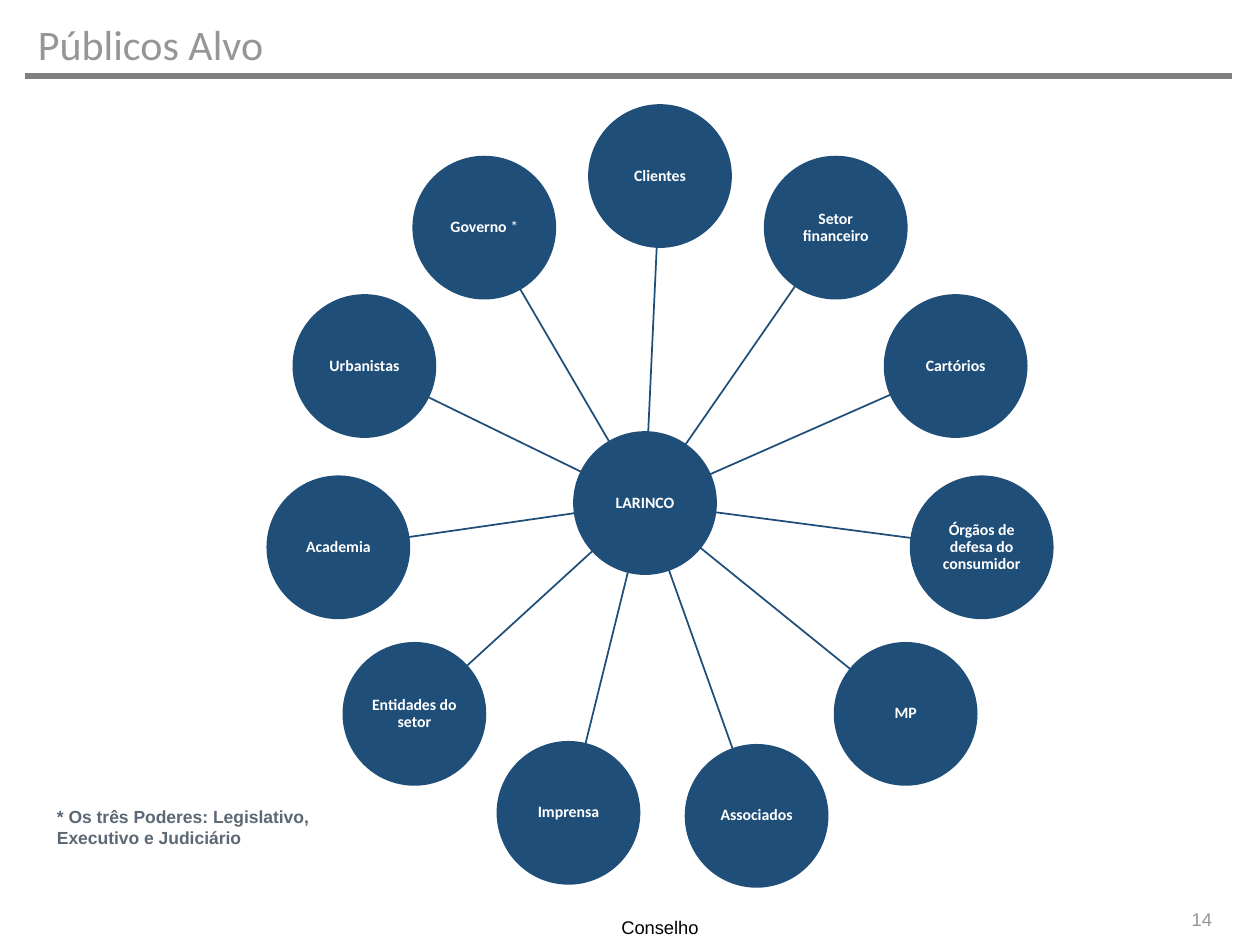
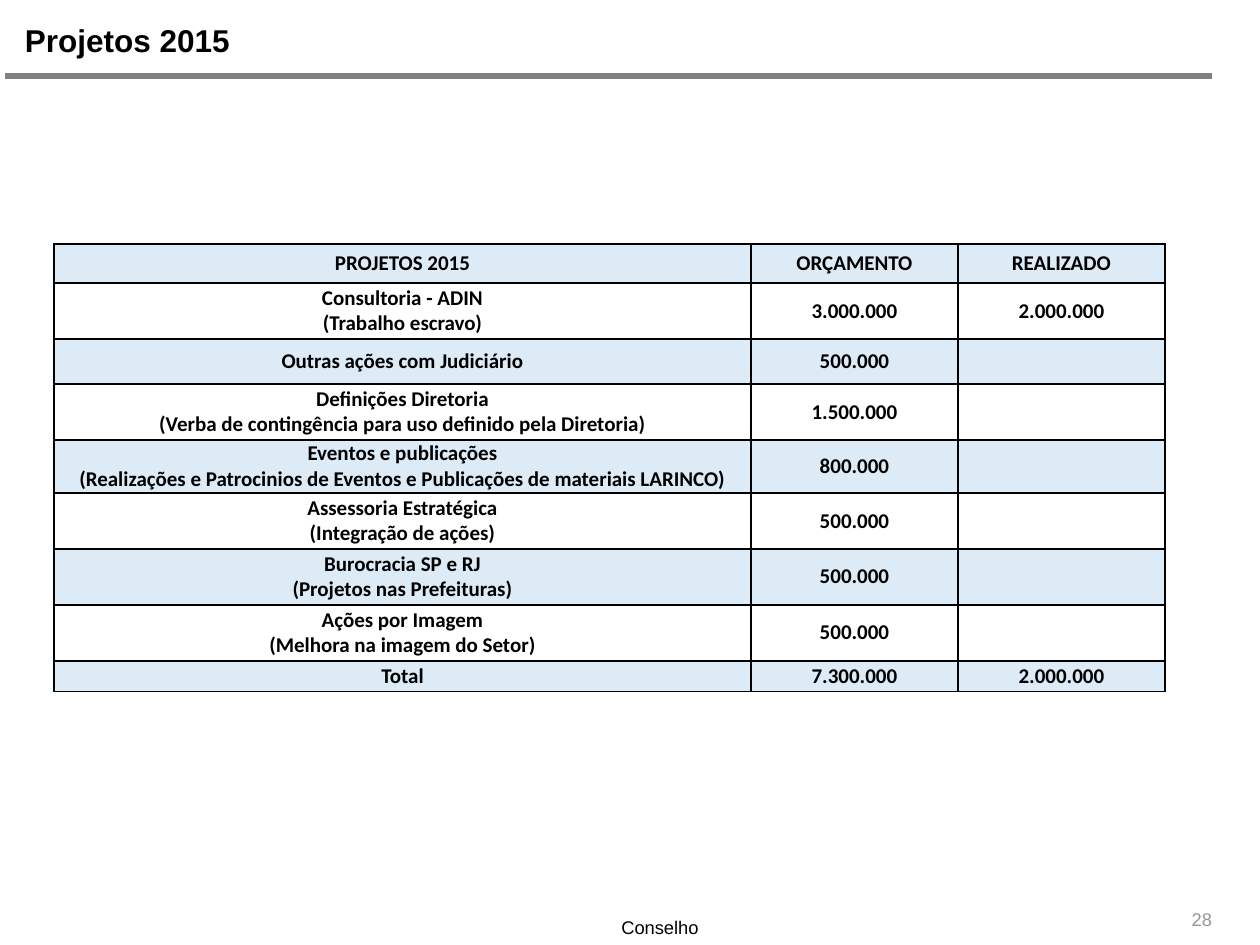
import math
from dataclasses import dataclass

import lxml.etree
import pptx
import pptx.dml.color
import pptx.enum.shapes
import pptx.enum.text
import pptx.oxml.ns
import pptx.util

EMU_PER_PX = 914400 / 126
ALIGN = pptx.enum.text.PP_ALIGN
ANCHOR = pptx.enum.text.MSO_ANCHOR


@dataclass(frozen=True)
class Theme:
    navy: str = "1F4E79"
    white: str = "FFFFFF"
    black: str = "000000"
    rule: str = "808080"
    muted: str = "969696"
    slate: str = "5C6875"
    pale_blue: str = "DDEBF7"
    sans: str = "Arial"
    body: str = "Calibri"
    title_light: float = 24
    title_bold: float = 18
    table: float = 12
    footer: float = 10.5
    note: float = 10
    node: float = 9


THEME = Theme()


@dataclass(frozen=True)
class Style:
    size: float
    font: str
    color: str
    bold: bool = False


LIGHT_TITLE = Style(THEME.title_light, THEME.body, THEME.muted)
BOLD_TITLE = Style(THEME.title_bold, THEME.sans, THEME.black, True)
NODE_STYLE = Style(THEME.node, THEME.body, THEME.white, True)
NODE_MARK = Style(THEME.node, THEME.body, THEME.white)
NOTE_STYLE = Style(THEME.note, THEME.sans, THEME.slate, True)
TABLE_STYLE = Style(THEME.table, THEME.body, THEME.black, True)
PAGE_STYLE = Style(THEME.footer, THEME.sans, THEME.muted)
FOOTER_STYLE = Style(THEME.footer, THEME.sans, THEME.black)

HUB = (645, 503)
RING = (660, 501)
RING_RADIUS = 325
NODE_RADIUS = 71
AUDIENCES = [
    "Clientes", "Setor financeiro", "Cartórios", "Órgãos de defesa do consumidor",
    "MP", "Associados", "Imprensa", "Entidades do setor", "Academia",
    "Urbanistas", "Governo *",
]
NUDGES = {"Associados": (5, 3)}

COLUMN_WIDTHS = [697, 207, 207]
PROJECTS = [
    (39, "PROJETOS 2015", "ORÇAMENTO", "REALIZADO"),
    (56, "Consultoria - ADIN\n(Trabalho escravo)", "3.000.000", "2.000.000"),
    (45, "Outras ações com Judiciário", "500.000", ""),
    (56, "Definições Diretoria\n(Verba de contingência para uso definido pela Diretoria)",
     "1.500.000", ""),
    (53, "Eventos e publicações\n(Realizações e Patrocinios de Eventos e Publicações"
         " de materiais LARINCO)", "800.000", ""),
    (56, "Assessoria Estratégica\n(Integração de ações)", "500.000", ""),
    (56, "Burocracia SP e RJ\n(Projetos nas Prefeituras)", "500.000", ""),
    (56, "Ações por Imagem\n(Melhora na imagem do Setor)", "500.000", ""),
    (31, "Total", "7.300.000", "2.000.000"),
]


def px(length):
    return pptx.util.Emu(round(length * EMU_PER_PX))


def rgb(color):
    return pptx.dml.color.RGBColor.from_string(color)


def add_run(paragraph, text, style):
    run = paragraph.add_run()
    run.text = text
    run.font.size = pptx.util.Pt(style.size)
    run.font.name = style.font
    run.font.bold = style.bold
    run.font.color.rgb = rgb(style.color)


def set_margins(target, horizontal, vertical):
    target.margin_left = target.margin_right = px(horizontal)
    target.margin_top = target.margin_bottom = px(vertical)


def add_text(slide, box, lines, style, align=ALIGN.LEFT, anchor=ANCHOR.TOP, margins=(13, 8)):
    frame = slide.shapes.add_textbox(*map(px, box)).text_frame
    frame.word_wrap = True
    frame.vertical_anchor = anchor
    set_margins(frame, *margins)
    for index, line in enumerate(lines):
        paragraph = frame.add_paragraph() if index else frame.paragraphs[0]
        paragraph.alignment = align
        add_run(paragraph, line, style)


def add_line(slide, start, end, color, width):
    line = slide.shapes.add_connector(
        pptx.enum.shapes.MSO_CONNECTOR.STRAIGHT, *map(px, (*start, *end)))
    line.line.color.rgb = rgb(color)
    line.line.width = pptx.util.Pt(width)
    properties = line._element.spPr
    lxml.etree.SubElement(properties, pptx.oxml.ns.qn("a:effectLst"))


def add_node(slide, center, label):
    x, y = center
    node = slide.shapes.add_shape(
        pptx.enum.shapes.MSO_SHAPE.OVAL, px(x - NODE_RADIUS), px(y - NODE_RADIUS),
        px(2 * NODE_RADIUS), px(2 * NODE_RADIUS))
    node.shadow.inherit = False
    node.fill.solid()
    node.fill.fore_color.rgb = rgb(THEME.navy)
    node.line.color.rgb = rgb(THEME.navy)
    node.line.width = pptx.util.Pt(1)
    frame = node.text_frame
    frame.word_wrap = True
    frame.vertical_anchor = ANCHOR.MIDDLE
    set_margins(frame, 1, 1)
    paragraph = frame.paragraphs[0]
    paragraph.alignment = ALIGN.CENTER
    paragraph.line_spacing = 0.9
    name, mark, _ = label.partition("*")
    add_run(paragraph, name, NODE_STYLE)
    if mark:
        add_run(paragraph, mark, NODE_MARK)


def add_spoke(slide, center):
    """Joins the rims of the hub and of one audience circle."""
    dx, dy = center[0] - HUB[0], center[1] - HUB[1]
    distance = math.hypot(dx, dy)
    step_x, step_y = dx / distance * NODE_RADIUS, dy / distance * NODE_RADIUS
    add_line(slide, (HUB[0] + step_x, HUB[1] + step_y),
             (center[0] - step_x, center[1] - step_y), THEME.navy, 1)


def add_frame(deck, page, rule_left):
    """Adds a slide with the header rule, the page number and the footer."""
    slide = deck.slides.add_slide(deck.slide_layouts[6])
    add_line(slide, (rule_left, 76), (rule_left + 1207, 76), THEME.rule, 3.2)
    add_text(slide, (1007, 900, 218, 37), [page], PAGE_STYLE, ALIGN.RIGHT)
    add_text(slide, (551, 908, 218, 37), ["Conselho"], FOOTER_STYLE, ALIGN.CENTER)
    return slide


def add_borders(cell):
    properties = cell._tc.get_or_add_tcPr()
    for side in ("lnL", "lnR", "lnT", "lnB"):
        border = lxml.etree.SubElement(
            properties, pptx.oxml.ns.qn(f"a:{side}"), w=str(pptx.util.Pt(1)))
        fill = lxml.etree.SubElement(border, pptx.oxml.ns.qn("a:solidFill"))
        lxml.etree.SubElement(fill, pptx.oxml.ns.qn("a:srgbClr"), val=THEME.black)


def fill_cell(cell, text, color):
    add_borders(cell)
    cell.fill.solid()
    cell.fill.fore_color.rgb = rgb(color)
    cell.vertical_anchor = ANCHOR.MIDDLE
    set_margins(cell, 1, 0)
    paragraph = cell.text_frame.paragraphs[0]
    paragraph.alignment = ALIGN.CENTER
    if not text:
        paragraph.font.size = pptx.util.Pt(THEME.table)
        return
    for index, line in enumerate(text.split("\n")):
        if index:
            paragraph.add_line_break()
        add_run(paragraph, line, TABLE_STYLE)


def add_budget(slide):
    heights = [project[0] for project in PROJECTS]
    budget = slide.shapes.add_table(
        len(PROJECTS), len(COLUMN_WIDTHS), px(54), px(244),
        px(sum(COLUMN_WIDTHS)), px(sum(heights))).table
    budget.first_row = budget.horz_banding = False
    for column, width in zip(budget.columns, COLUMN_WIDTHS):
        column.width = px(width)
    for index, (height, *texts) in enumerate(PROJECTS):
        budget.rows[index].height = px(height)
        color = THEME.white if index % 2 else THEME.pale_blue
        for cell, text in zip(budget.rows[index].cells, texts):
            fill_cell(cell, text, color)


def build_audiences(deck):
    slide = add_frame(deck, "14", 25)
    add_text(slide, (25, 11, 1198, 66), ["Públicos Alvo"], LIGHT_TITLE, anchor=ANCHOR.MIDDLE)

    # Hub and ring of audiences, clockwise from the top
    add_node(slide, HUB, "LARINCO")
    for index, audience in enumerate(AUDIENCES):
        angle = 2 * math.pi * index / len(AUDIENCES)
        shift_x, shift_y = NUDGES.get(audience, (0, 0))
        center = (RING[0] + RING_RADIUS * math.sin(angle) + shift_x,
                  RING[1] - RING_RADIUS * math.cos(angle) + shift_y)
        add_spoke(slide, center)
        add_node(slide, center, audience)

    # Footnote on the government
    add_text(slide, (44, 800, 287, 55),
             ["* Os três Poderes: Legislativo,", "Executivo e Judiciário"],
             NOTE_STYLE, margins=(13, 6))


def build_projects(deck):
    slide = add_frame(deck, "28", 5)
    add_text(slide, (25, 21, 1198, 44), ["Projetos 2015"], BOLD_TITLE, margins=(0, 0))
    add_budget(slide)


def main():
    deck = pptx.Presentation()
    deck.slide_width, deck.slide_height = px(1260), px(945)
    build_audiences(deck)
    build_projects(deck)
    deck.save("out.pptx")


if __name__ == "__main__":
    main()
